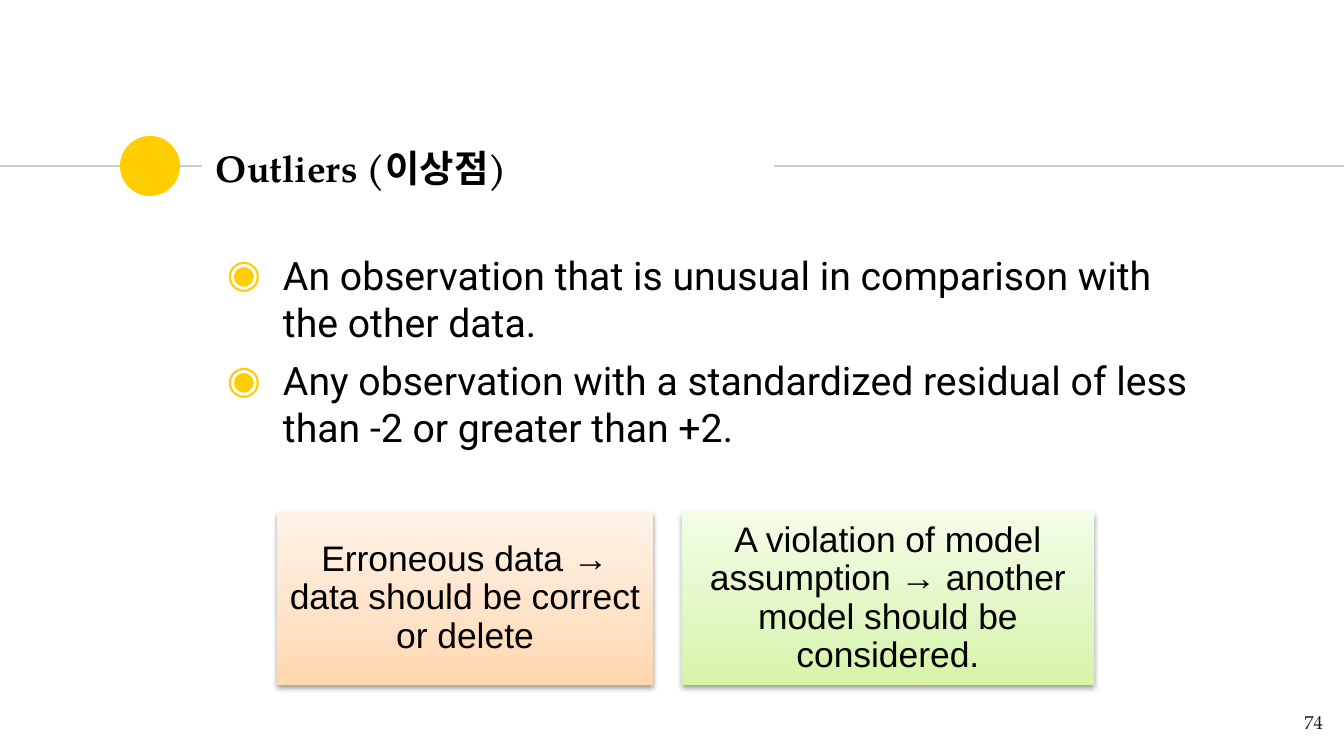
from copy import deepcopy

from lxml.etree import SubElement
from pptx import Presentation
from pptx.dml.color import RGBColor
from pptx.enum.shapes import MSO_CONNECTOR, MSO_SHAPE
from pptx.enum.text import MSO_ANCHOR, MSO_AUTO_SIZE, PP_ALIGN
from pptx.oxml import parse_xml
from pptx.oxml.ns import nsdecls, qn
from pptx.util import Emu, Pt

SCALE = 914400 / 134.4
SERIF, SANS, BOX_FONT = "TeX Gyre Pagella", "Roboto", "Arial"
YELLOW, GREY, BLACK, DARK = "FFCD00", "CCCCCC", "000000", "1D1D1B"
RULE_Y = 166
STOPS = (0, 0.35, 1)

POINTS = [
    "An observation that is unusual in comparison with the other data.",
    "Any observation with a standardized residual of less than -2 or greater than +2.",
]
BOXES = [
    (277, 376, ("FFD6AD", "FFE1C5", "FFF3E9"),
     "Erroneous data → data should be correct or delete"),
    (682, 412, ("D5F4A6", "E0F6C1", "F3FDE7"),
     "A violation of model assumption → another model should be considered."),
]


def px(n):
    return Emu(round(n * SCALE))


def rgb(value):
    return RGBColor.from_string(value)


def set_all(target, values):
    for name, value in values.items():
        setattr(target, name, value)


def place(sp, x, y, w, h):
    set_all(sp, dict(left=px(x), top=px(y), width=px(w), height=px(h)))


def format_frame(tf, anchor, inset=13):
    margins = {f"margin_{side}": px(inset) for side in ("left", "right", "top", "bottom")}
    set_all(tf, dict(word_wrap=True, auto_size=MSO_AUTO_SIZE.NONE,
                     vertical_anchor=anchor, **margins))


def write(p, text, font, size, color, align=PP_ALIGN.LEFT, bold=False, **spacing):
    """Fill a paragraph with one formatted run."""
    set_all(p, dict(alignment=align, space_before=Pt(0), **spacing))
    r = p.add_run()
    r.text = text
    set_all(r.font, dict(name=font, size=Pt(size), bold=bold))
    r.font.color.rgb = rgb(color)


def add_bullet(p):
    pPr = p._p.get_or_add_pPr()
    pPr.set("marL", str(px(67)))
    pPr.set("indent", str(-px(56)))
    color = SubElement(pPr, qn("a:buClr"))
    SubElement(color, qn("a:srgbClr"), val=YELLOW)
    SubElement(pPr, qn("a:buFont"), typeface=SANS)
    SubElement(pPr, qn("a:buChar"), char="◉")


def add_rule(s, x1, x2):
    line = s.shapes.add_connector(MSO_CONNECTOR.STRAIGHT, px(x1), px(RULE_Y), px(x2), px(RULE_Y))
    line.line.color.rgb = rgb(GREY)
    line.line.width = Pt(0.75)
    SubElement(line._element.spPr, qn("a:effectLst"))


def add_plain_shape(s, kind, x, y, w, h):
    sp = s.shapes.add_shape(kind, px(x), px(y), px(w), px(h))
    sp.shadow.inherit = False
    sp.line.fill.background()
    return sp


def add_dot(s, x, size):
    dot = add_plain_shape(s, MSO_SHAPE.OVAL, x, RULE_Y - size // 2, size, size)
    dot.fill.solid()
    dot.fill.fore_color.rgb = rgb(YELLOW)


def fill_gradient(sp, colors):
    """Blend upwards through three colours."""
    sp.fill.gradient()
    sp.fill.gradient_angle = 90
    stops = sp._element.spPr.find(".//" + qn("a:gsLst"))
    stops.insert(1, deepcopy(stops[0]))
    for stop, position, color in zip(sp.fill.gradient_stops, STOPS, colors):
        stop.position = position
        stop.color.rgb = rgb(color)


def add_drop_shadow(sp):
    sp._element.spPr.find(qn("a:effectLst")).append(parse_xml(
        f'<a:outerShdw {nsdecls("a")} blurRad="{Pt(3.1)}" dist="{Pt(1.6)}" '
        f'dir="5400000" rotWithShape="0"><a:srgbClr val="{BLACK}">'
        '<a:alpha val="38000"/></a:srgbClr></a:outerShdw>'))


def add_box(s, x, w, colors, text):
    sp = add_plain_shape(s, MSO_SHAPE.RECTANGLE, x, 512, w, 173)
    fill_gradient(sp, colors)
    add_drop_shadow(sp)
    format_frame(sp.text_frame, MSO_ANCHOR.MIDDLE, 11)
    write(sp.text_frame.paragraphs[0], text, BOX_FONT, 19, BLACK,
          PP_ALIGN.CENTER, line_spacing=0.9)


def fill_title(title):
    place(title, 203, 136, 570, 64)
    format_frame(title.text_frame, MSO_ANCHOR.MIDDLE)
    write(title.text_frame.paragraphs[0], "Outliers (이상점)", SERIF, 20, BLACK, bold=True)


def fill_body(body):
    place(body, 203, 238, 1001, 457)
    tf = body.text_frame
    format_frame(tf, MSO_ANCHOR.TOP)
    for i, text in enumerate(POINTS):
        p = tf.add_paragraph() if i else tf.paragraphs[0]
        add_bullet(p)
        write(p, text, SANS, 21, BLACK)
        p.space_before = Pt(6 if i else 0)


def add_page_number(s):
    tf = s.shapes.add_textbox(px(1255), px(698), px(81), px(58)).text_frame
    format_frame(tf, MSO_ANCHOR.TOP)
    write(tf.paragraphs[0], "74", SERIF, 10, DARK, PP_ALIGN.RIGHT)


def main():
    prs = Presentation()
    set_all(prs, dict(slide_width=px(1344), slide_height=px(756)))
    s = prs.slides.add_slide(prs.slide_layouts[1])
    add_rule(s, 0, 202)
    add_dot(s, 120, 60)
    add_rule(s, 774, 1344)
    fill_title(s.shapes.title)
    fill_body(s.placeholders[1])
    add_page_number(s)
    for box in BOXES:
        add_box(s, *box)
    prs.save("out.pptx")


if __name__ == "__main__":
    main()
